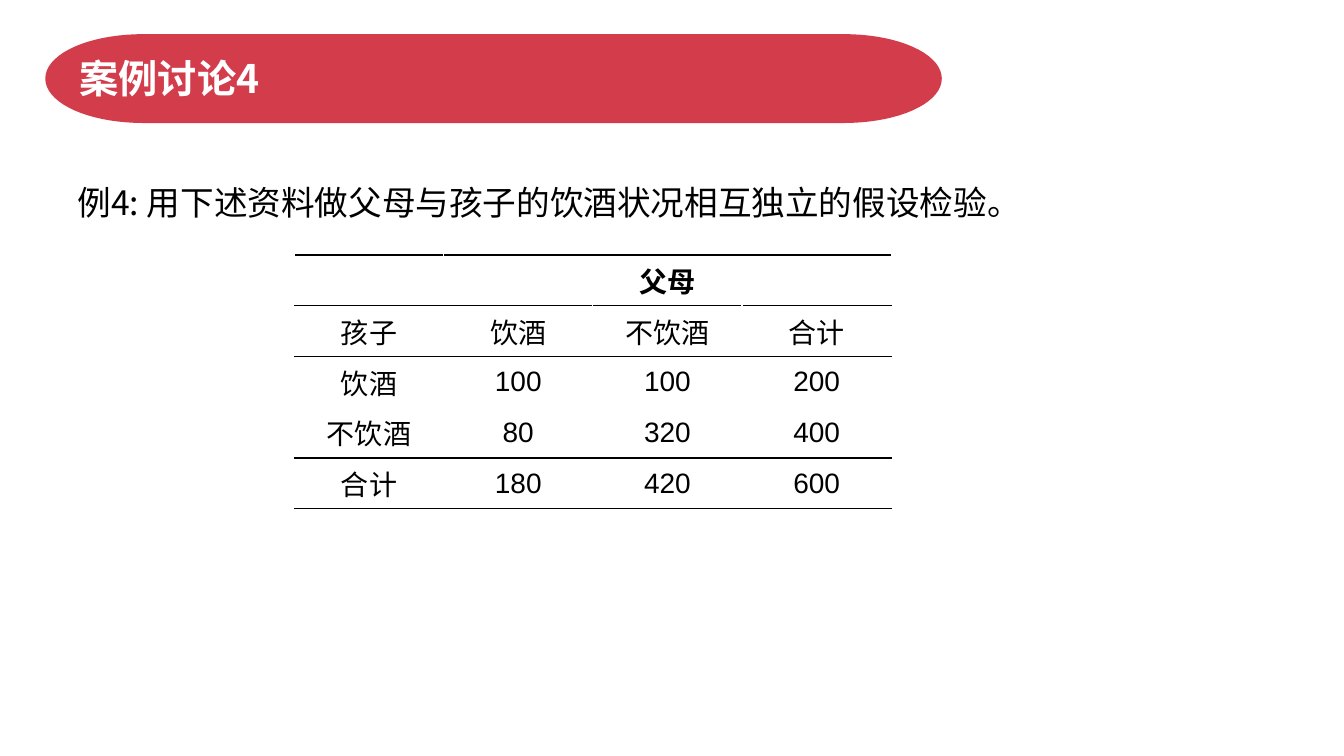
import math
import lxml.etree
import pptx
import pptx.dml.color
import pptx.enum.text
import pptx.oxml.ns
import pptx.util

Inches = pptx.util.Inches
Align = pptx.enum.text.PP_ALIGN
Anchor = pptx.enum.text.MSO_ANCHOR
qn = pptx.oxml.ns.qn

theme = {
    "red": "D23C4B", "white": "FFFFFF", "black": "000000",
    "heading_font": "Noto Sans CJK SC", "table_font": "Arial",
    "title_size": 28, "body_size": 24, "table_size": 20,
}


def color(name):
    return pptx.dml.color.RGBColor.from_string(theme[name])


def write(box, text, font, size, ink, bold, align, anchor):
    box.vertical_anchor = anchor
    para = box.paragraphs[0]
    para.alignment = align
    span = para.add_run()
    span.text = text
    span.font.name = theme[font]
    span.font.size = pptx.util.Pt(theme[size])
    span.font.bold = bold
    span.font.color.rgb = color(ink)
    east_asian = lxml.etree.Element(qn("a:ea"), typeface=theme["heading_font"])
    span.font._element.find(qn("a:latin")).addnext(east_asian)
    return para


deck = pptx.Presentation()
deck.slide_width = Inches(13.33)
deck.slide_height = Inches(7.5)
page = deck.slides.add_slide(deck.slide_layouts[1])

title = page.shapes.title
title.left, title.top = Inches(0.69), Inches(0.37)
title.width, title.height = Inches(8.38), Inches(0.81)
title.text_frame.auto_size = pptx.enum.text.MSO_AUTO_SIZE.NONE
write(title.text_frame, "案例讨论4", "heading_font", "title_size", "white",
      True, Align.LEFT, Anchor.MIDDLE)

banner_middle, cap_width, cap_height = 0.78, 0.95, 0.42
outline = []
for center, start in ((8.37, -90), (1.42, 90)):
    for degree in range(start, start + 181, 5):
        angle = math.radians(degree)
        outline.append((Inches(center + cap_width * math.cos(angle)),
                        Inches(banner_middle + cap_height * math.sin(angle))))
builder = page.shapes.build_freeform(*outline[0])
builder.add_line_segments(outline[1:], close=True)
banner = builder.convert_to_shape()
banner.shadow.inherit = False
banner.fill.solid()
banner.fill.fore_color.rgb = color("red")
banner.line.color.rgb = color("red")
banner.line.width = pptx.util.Pt(3)
title.element.addprevious(banner.element)

body = page.placeholders[1]
body.left, body.top = Inches(0.67), Inches(1.75)
body.width, body.height = Inches(12), Inches(4.95)
body.text_frame.auto_size = pptx.enum.text.MSO_AUTO_SIZE.NONE
question = write(body.text_frame, "例4: 用下述资料做父母与孩子的饮酒状况相互独立的假设检验。",
                 "heading_font", "body_size", "black", False, Align.LEFT, Anchor.TOP)
properties = question._p.get_or_add_pPr()
properties.set("marL", "0")
properties.set("indent", "0")
lxml.etree.SubElement(properties, qn("a:buNone"))

rows = [
    ["", "父母", "", ""],
    ["孩子", "饮酒", "不饮酒", "合计"],
    ["饮酒", "100", "100", "200"],
    ["不饮酒", "80", "320", "400"],
    ["合计", "180", "420", "600"],
]
column_width, row_height = 1.48, 0.41
frame = page.shapes.add_table(
    len(rows), len(rows[0]), Inches(2.92), Inches(2.53),
    Inches(column_width * len(rows[0])), Inches(row_height * len(rows)))
table = frame.table
table.first_row = False
table.horz_banding = False
table.cell(0, 1).merge(table.cell(0, 3))

for row_index, row in enumerate(rows):
    edges = {
        "a:lnL": "white",
        "a:lnR": "white",
        "a:lnT": "white" if row_index == 3 else "black",
        "a:lnB": "white" if row_index == 2 else "black",
    }
    for column_index, text in enumerate(row):
        cell = table.cell(row_index, column_index)
        cell_properties = cell._tc.get_or_add_tcPr()
        for edge, ink in edges.items():
            border = lxml.etree.SubElement(cell_properties, qn(edge), w="12700")
            fill = lxml.etree.SubElement(border, qn("a:solidFill"))
            lxml.etree.SubElement(fill, qn("a:srgbClr"), val=theme[ink])
        cell.fill.background()
        cell.vertical_anchor = Anchor.MIDDLE
        if text:
            write(cell.text_frame, text, "table_font", "table_size", "black",
                  row_index == 0, Align.CENTER, Anchor.MIDDLE)

deck.save("out.pptx")
